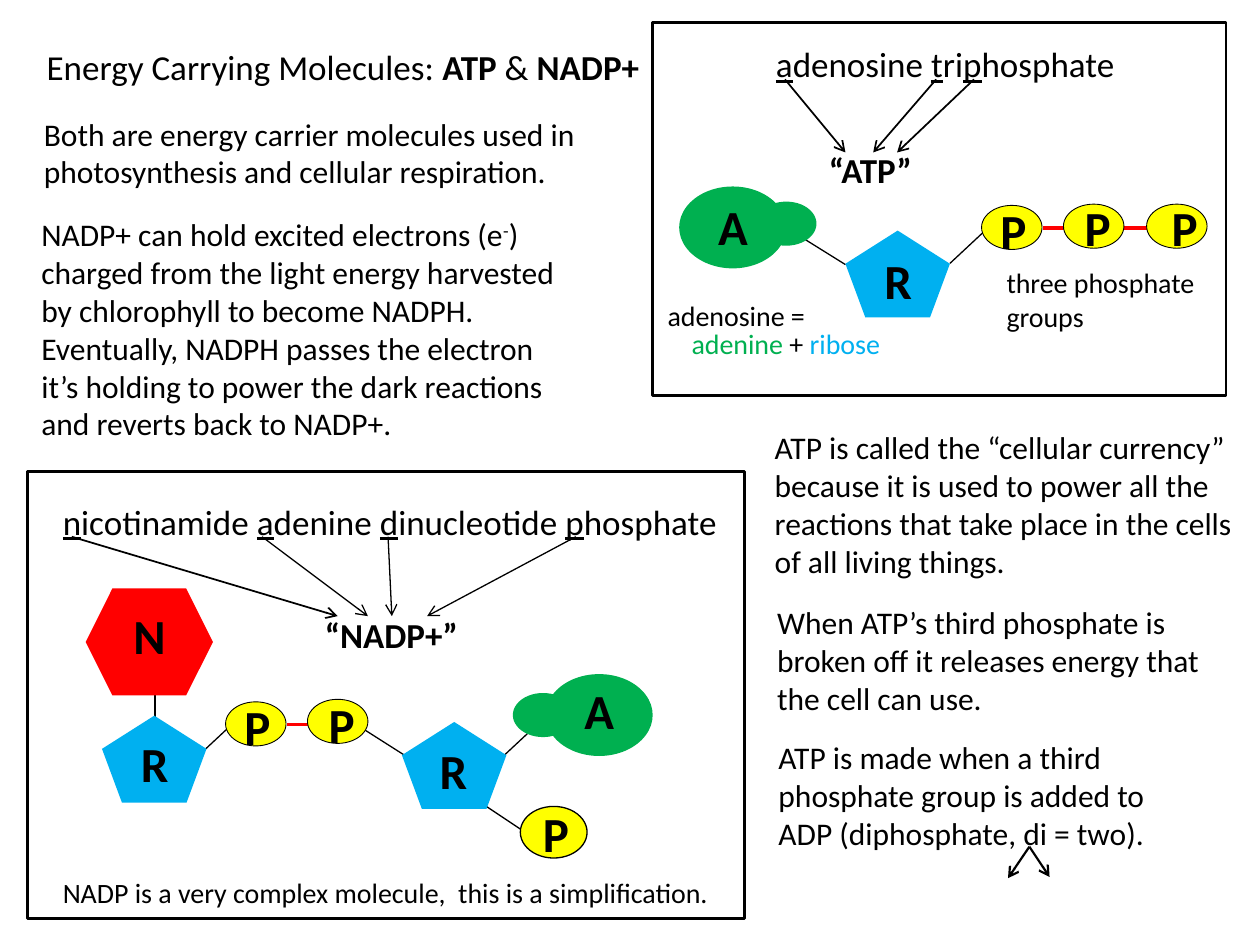
from lxml.etree import SubElement
from pptx import Presentation
from pptx.dml.color import RGBColor
from pptx.enum.shapes import MSO_CONNECTOR, MSO_SHAPE
from pptx.enum.text import MSO_ANCHOR, MSO_AUTO_SIZE, PP_ALIGN
from pptx.oxml.ns import qn
from pptx.util import Inches, Pt

# The slide is a grid of 100 columns and 75 rows of square cells
COLUMNS, ROWS = 100, 75
CELL = Inches(0.1)

FONT = "Calibri"
HEADING, BODY, CAPTION, LETTER = 20, 18, 16, 28

COLORS = {
    "ink": "000000",
    "bond": "FF0000",
    "adenine": "00B050",
    "ribose": "00B0F0",
    "phosphate": "FFFF00",
    "nicotinamide": "FF0000",
}

# Molecule parts: preset, colour, columns, rows, outline width, letter
PARTS = {
    "adenine": (MSO_SHAPE.OVAL, "adenine", 8.5, 6.5, 0, "A"),
    "adenine ring": (MSO_SHAPE.OVAL, "adenine", 4.8, 3.5, 0, None),
    "ribose": (MSO_SHAPE.REGULAR_PENTAGON, "ribose", 8.3, 6.9, 0, "R"),
    "phosphate": (MSO_SHAPE.OVAL, "phosphate", 4.8, 3.5, 0.5, "P"),
    "large phosphate": (MSO_SHAPE.OVAL, "phosphate", 5.3, 4.1, 0.75, "P"),
    "nicotinamide": (MSO_SHAPE.HEXAGON, "nicotinamide", 10.1, 8.5, 0, "N"),
}


def cells(*counts):
    return [round(count * CELL) for count in counts]


def color(name):
    return RGBColor.from_string(COLORS[name])


# Emphasis for the pieces of text marked with asterisks
def bold(run):
    run.font.bold = True


def underline(run):
    run.font.underline = True


def superscript(run):
    run.font._element.set("baseline", "30000")


def name_color(run):
    run.font.color.rgb = color(run.text)


def write(text_frame, text, size, emphasis=bold):
    text_frame.word_wrap = True
    text_frame.auto_size = MSO_AUTO_SIZE.NONE
    text_frame.vertical_anchor = MSO_ANCHOR.TOP
    for number, line in enumerate(text.split("\n")):
        paragraph = text_frame.add_paragraph() if number else text_frame.paragraphs[0]
        paragraph.alignment = PP_ALIGN.LEFT
        for index, piece in enumerate(line.split("*")):
            if not piece:
                continue
            run = paragraph.add_run()
            run.text = piece
            run.font.name = FONT
            run.font.size = Pt(size)
            run.font.bold = False
            run.font.color.rgb = color("ink")
            if index % 2:
                emphasis(run)


def add_text(shapes, text, box, size=BODY, emphasis=bold):
    write(shapes.add_textbox(*cells(*box)).text_frame, text, size, emphasis)


def add_line(shapes, ends, width=0.75, line_color="ink", arrow=False):
    connector = shapes.add_connector(MSO_CONNECTOR.STRAIGHT, *cells(*ends))
    connector.line.color.rgb = color(line_color)
    connector.line.width = Pt(width)
    if arrow:
        SubElement(connector.line._get_or_add_ln(), qn("a:tailEnd"), type="arrow")
    SubElement(connector._element.spPr, qn("a:effectLst"))


def add_frame(shapes, box):
    frame = shapes.add_shape(MSO_SHAPE.RECTANGLE, *cells(*box))
    frame.shadow.inherit = False
    frame.fill.background()
    frame.line.color.rgb = color("ink")
    frame.line.width = Pt(1.5)


def add_part(shapes, name, left, top, letter_shift=(0, 0)):
    preset, fill, width, height, outline, letter = PARTS[name]
    part = shapes.add_shape(preset, *cells(left, top, width, height))
    part.shadow.inherit = False
    part.fill.solid()
    part.fill.fore_color.rgb = color(fill)
    if outline:
        part.line.color.rgb = color("ink")
        part.line.width = Pt(outline)
    else:
        part.line.fill.background()
    if letter:
        right, down = letter_shift
        add_text(shapes, f"*{letter}*", (left + right, top + down, 4.2, 5.7), LETTER)


def add_molecule(shapes, bonds, phosphate_bonds, parts):
    for ends in bonds:
        add_line(shapes, ends)
    for ends in phosphate_bonds:
        add_line(shapes, ends, 2.25, "bond")
    for part in parts:
        add_part(shapes, *part)


def add_atp_panel(shapes):
    add_frame(shapes, (51.8, 1.8, 45.5, 29.6))

    # Name and abbreviation
    add_text(shapes, "*a*denosine *t*ri*p*hosphate", (60.6, 2.9, 28.9, 4.4),
             HEADING, underline)
    for start, end in ((62.3, 67.1), (74.3, 69.3), (77.3, 71.2)):
        add_line(shapes, (start, 6.3, end, 12.1), 1, arrow=True)
    add_text(shapes, "*“ATP”*", (64.8, 11.3, 9.2, 4.4), HEADING)

    # Molecule
    add_molecule(
        shapes,
        bonds=[(75.4, 20.9, 78.4, 18.1), (62.6, 18.2, 67.1, 21)],
        phosphate_bonds=[(82.8, 18.1, 85.9, 18.1), (88.5, 18.1, 91.6, 18.1)],
        parts=[
            ("adenine ring", 60, 16),
            ("adenine", 53.9, 14.8, (2.1, 0.3)),
            ("ribose", 67.1, 18.3, (2.1, 1.1)),
            ("phosphate", 77.9, 16.3, (0.5, -0.9)),
            ("phosphate", 84.4, 16.2, (0.7, -1)),
            ("phosphate", 91, 16.2, (1, -1)),
        ],
    )

    # Captions
    add_text(shapes, "adenosine =", (52, 23.2, 14.7, 3.7), CAPTION)
    add_text(shapes, "*adenine* + *ribose*", (53.9, 25.4, 18.6, 3.7), CAPTION, name_color)
    add_text(shapes, "three phosphate groups", (78.9, 20.6, 19.3, 6.4), CAPTION)


def add_nadp_panel(shapes):
    add_frame(shapes, (2.2, 37.4, 56.9, 35.5))

    # Name and abbreviation
    add_text(shapes, "*n*icotinamide *a*denine *d*inucleotide *p*hosphate",
             (4, 39.2, 55.8, 4.4), HEADING, underline)
    for start, end, width in ((5.7, 26.8, 1), (20.8, 29.2, 0.75),
                              (30.8, 31.1, 0.75), (45.7, 33.9, 0.75)):
        add_line(shapes, (start, 42.6, end, 48.9), width, arrow=True)
    add_text(shapes, "*“NADP+”*", (24.8, 48.2, 15.4, 4.4), HEADING)

    # Molecule
    add_molecule(
        shapes,
        bonds=[(38.3, 63.8, 41.3, 65.8), (28.9, 57.9, 33.3, 60.7),
               (15.4, 60.3, 18.4, 57.5), (12.3, 58.2, 12.3, 53.2),
               (39.1, 60.8, 42.1, 58)],
        phosphate_bonds=[(22.8, 57.5, 25.9, 57.5)],
        parts=[
            ("nicotinamide", 6.8, 46.7, (2.8, 0.9)),
            ("ribose", 8.1, 56.8, (2.1, 0.9)),
            ("phosphate", 17.9, 55.7, (0.5, -0.9)),
            ("phosphate", 24.4, 55.5, (0.7, -0.9)),
            ("ribose", 31.9, 57.3, (2, 1)),
            ("adenine ring", 40.7, 55),
            ("adenine", 43.3, 53.5, (2.1, 0)),
            ("large phosphate", 41.3, 64, (0.8, -0.7)),
        ],
    )
    add_text(shapes, "NADP is a very complex molecule,  this is a simplification.",
             (4, 69, 53.7, 3.7), CAPTION)


def main():
    presentation = Presentation()
    presentation.slide_width, presentation.slide_height = COLUMNS * CELL, ROWS * CELL
    slide = presentation.slides.add_slide(presentation.slide_layouts[5])

    # Title
    title = slide.shapes.title
    title.left, title.top, title.width, title.height = cells(2.7, 3.1, 52.3, 4.4)
    write(title.text_frame, "Energy Carrying Molecules: *ATP* & *NADP+*", HEADING)

    # Panels
    add_atp_panel(slide.shapes.add_group_shape().shapes)
    add_nadp_panel(slide.shapes.add_group_shape().shapes)

    # Explanations
    add_text(slide.shapes, "Both are energy carrier molecules used in photosynthesis "
             "and cellular respiration.", (2.5, 8.6, 46.7, 7.1))
    add_text(slide.shapes, "NADP+ can hold excited electrons (e*-*) charged from the "
             "light energy harvested by chlorophyll to become NADPH.\n"
             "Eventually, NADPH passes the electron it’s holding to power the dark "
             "reactions and reverts back to NADP+.", (2.3, 16.6, 44.4, 19.2),
             emphasis=superscript)
    add_text(slide.shapes, "ATP is called the “cellular currency” because it is used to "
             "power all the reactions that take place in the cells of all living things.",
             (60.5, 33.5, 39.2, 13.1))
    add_text(slide.shapes, "When ATP’s third phosphate is broken off it releases energy "
             "that the cell can use.", (60.7, 47.4, 39.3, 10.1))
    add_text(slide.shapes, "ATP is made when a third phosphate group is added to ADP "
             "(diphosphate, di = two).", (60.8, 58.1, 33.5, 10.1))

    # Arrows for the two phosphates of ADP
    for end in ((80, 69.7), (83.3, 69.6)):
        add_line(slide.shapes, (81.7, 67.2, *end), 1.25, arrow=True)

    presentation.save("out.pptx")


if __name__ == "__main__":
    main()
